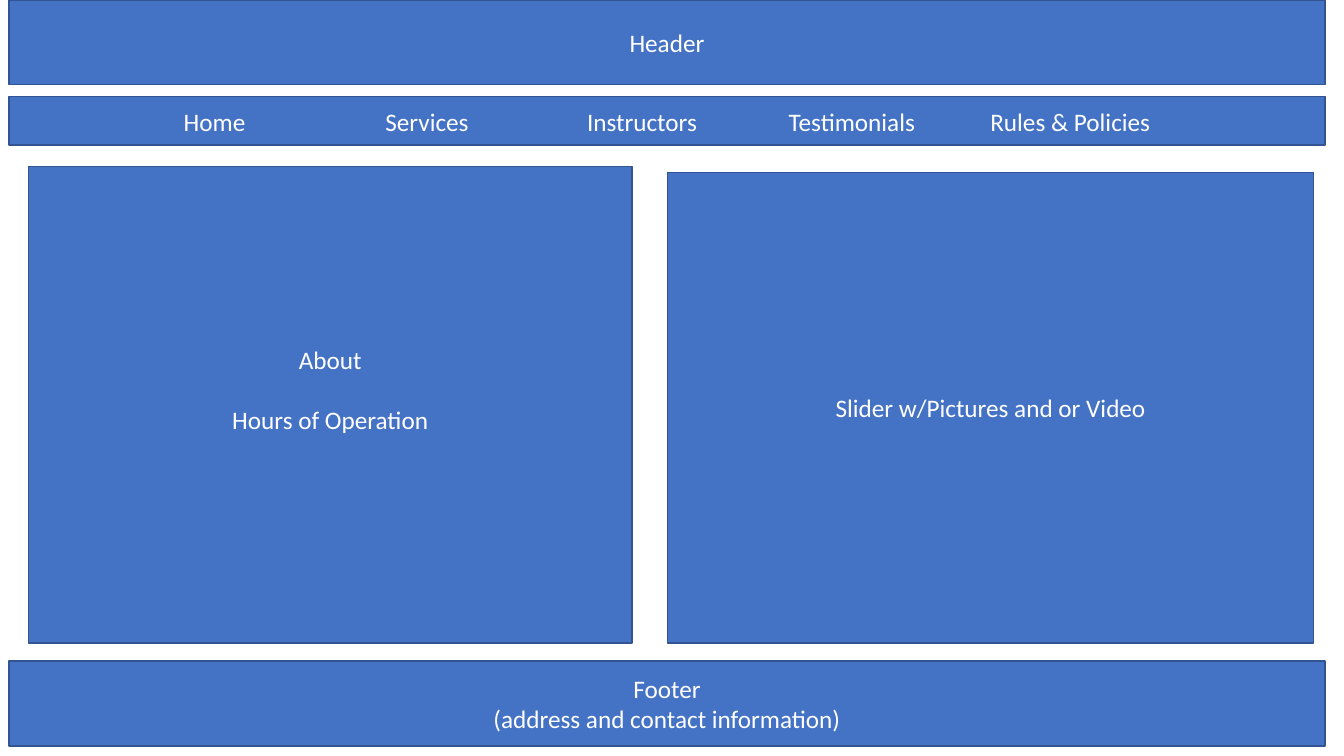
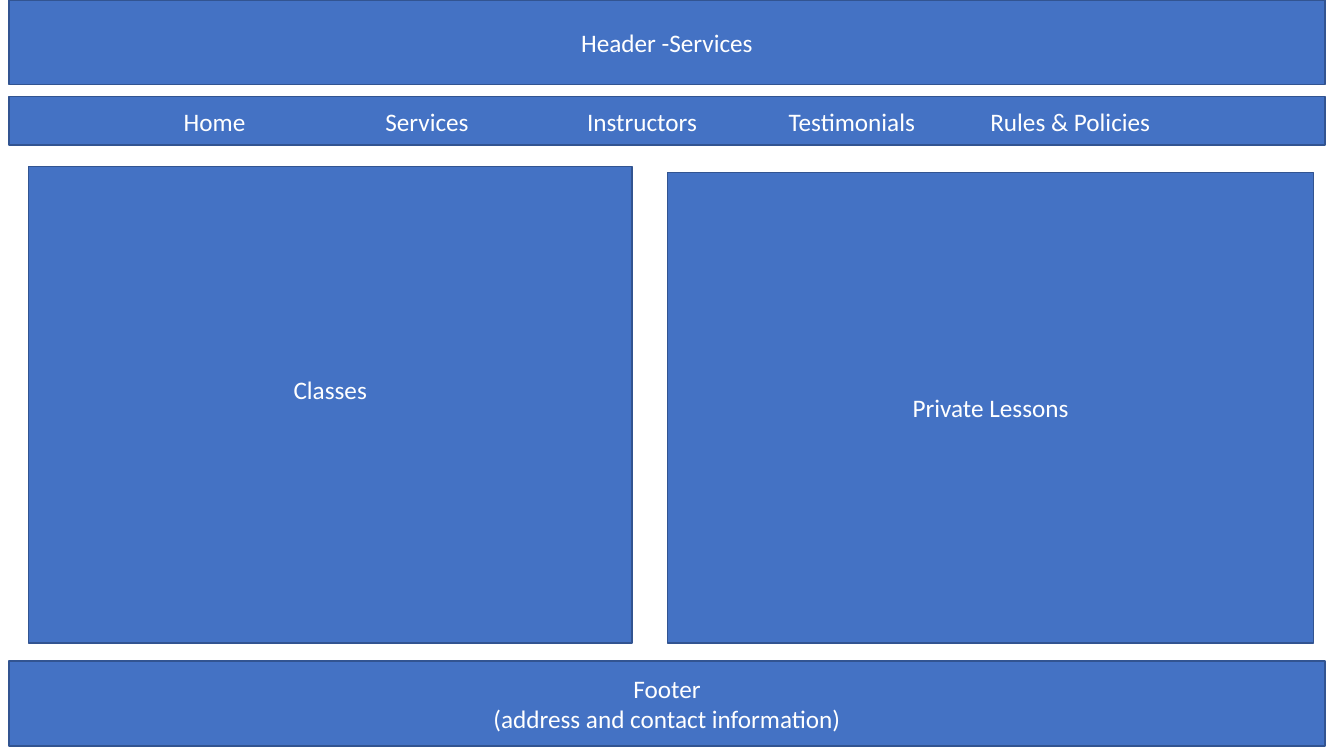
from lxml import etree
from pptx import Presentation
from pptx.dml.color import RGBColor
from pptx.enum.shapes import MSO_SHAPE
from pptx.enum.text import MSO_ANCHOR, MSO_AUTO_SIZE, PP_ALIGN
from pptx.oxml.ns import qn
from pptx.util import Pt

RECTANGLE = MSO_SHAPE.RECTANGLE
MIDDLE = MSO_ANCHOR.MIDDLE
CENTER = PP_ALIGN.CENTER
NO_AUTOFIT = MSO_AUTO_SIZE.NONE

BLUE = RGBColor(0x44, 0x72, 0xC4)
DARK_BLUE = RGBColor(0x32, 0x54, 0x91)
WHITE = RGBColor(0xFF, 0xFF, 0xFF)

PX = 9144  # EMU per px, 100 px to the inch
SLIDE_W, SLIDE_H = 1333, 750
TITLE_ONLY = 5

BAND_LEFT, BAND_W, BAND_H = 9, 1305, 84
NAV_TOP, NAV_H, NAV_STEP = 96, 48, 200
FOOTER_TOP = 656
PANEL_BOTTOM = 638
LINE_H = 30  # height of one text line

NAV_ITEMS = ["Home", "Services", "Instructors", "Testimonials", "Rules & Policies"]
FOOTER_LINES = ["Footer", "(address and contact information)"]


class Wireframe:
    """Holds the page style and the slide being built."""

    font = "Calibri"
    size = Pt(18)

    def __init__(self):
        self.deck = Presentation()
        self.deck.slide_width = SLIDE_W * PX
        self.deck.slide_height = SLIDE_H * PX
        self.slide = None

    def page(self, header, left_lines, right_lines):
        layout = self.deck.slide_layouts[TITLE_ONLY]
        self.slide = self.deck.slides.add_slide(layout)
        self.header(header)
        self.box(BAND_LEFT, FOOTER_TOP, BAND_W, BAND_H, FOOTER_LINES)
        self.panel(28, 165, 599, left_lines, raised=LINE_H)
        self.panel(662, 171, 641, right_lines)
        self.navigation()

    def header(self, text):
        title = self.slide.shapes.title
        title.left, title.top = BAND_LEFT * PX, 0
        title.width, title.height = BAND_W * PX, BAND_H * PX
        self.style(title, [text])

    def box(self, left, top, width, height, lines, gap=0):
        box = self.slide.shapes.add_shape(
            RECTANGLE, left * PX, top * PX, width * PX, height * PX)
        self.style(box, lines, gap)
        return box

    def panel(self, left, top, width, lines, raised=0):
        panel = self.box(left, top, width, PANEL_BOTTOM - top, lines, LINE_H)
        # A deeper bottom inset lifts the centred text
        panel.text_frame.margin_bottom += raised * PX

    def navigation(self):
        bar = self.box(BAND_LEFT, NAV_TOP, BAND_W, NAV_H, ["\t".join(NAV_ITEMS)])
        properties = bar.text_frame.paragraphs[0]._p.get_or_add_pPr()
        stops = etree.SubElement(properties, qn("a:tabLst"))
        for column in range(1, len(NAV_ITEMS)):
            etree.SubElement(stops, qn("a:tab"),
                             pos=str(column * NAV_STEP * PX), algn="l")

    def style(self, shape, lines, gap=0):
        shape.shadow.inherit = False
        shape.fill.solid()
        shape.fill.fore_color.rgb = BLUE
        shape.line.color.rgb = DARK_BLUE
        shape.line.width = Pt(1)
        frame = shape.text_frame
        frame.word_wrap = True
        frame.auto_size = NO_AUTOFIT
        frame.vertical_anchor = MIDDLE
        for index, line in enumerate(lines):
            paragraph = frame.add_paragraph() if index else frame.paragraphs[0]
            paragraph.alignment = CENTER
            if index and gap:
                paragraph.space_before = gap * PX
            run = paragraph.add_run()
            run.text = line
            run.font.name = self.font
            run.font.size = self.size
            run.font.color.rgb = WHITE


def main():
    site = Wireframe()
    # Home page
    site.page("Header", ["About", "Hours of Operation"],
              ["Slider w/Pictures and or Video"])
    # Services page
    site.page("Header -Services", ["Classes"], ["Private Lessons"])
    site.deck.save("out.pptx")


if __name__ == "__main__":
    main()
